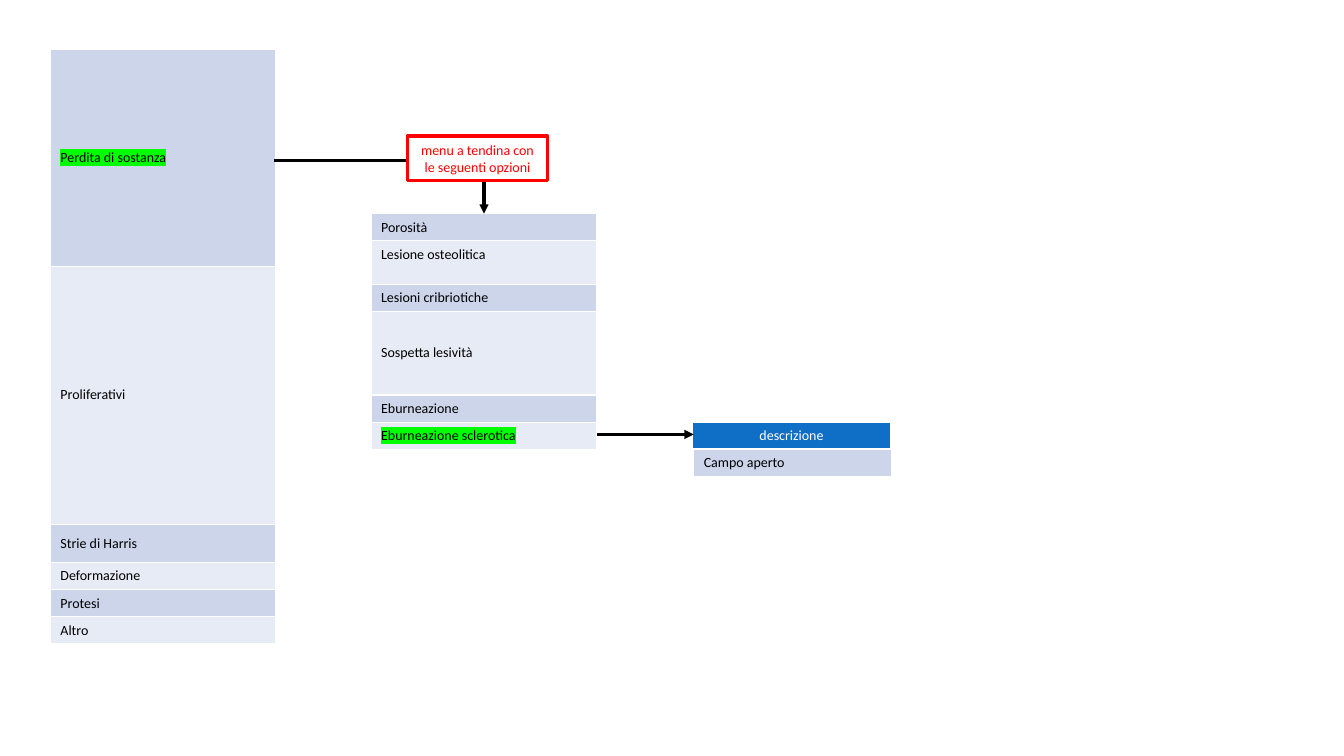
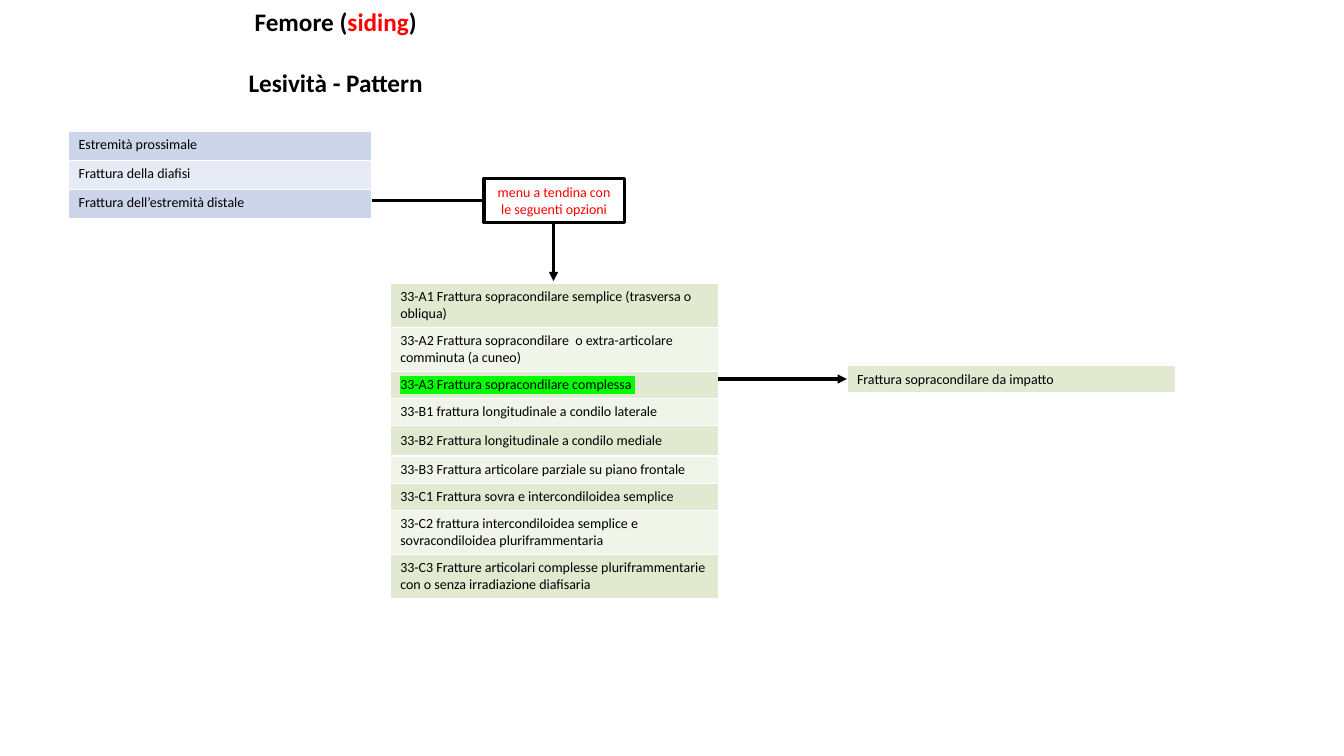
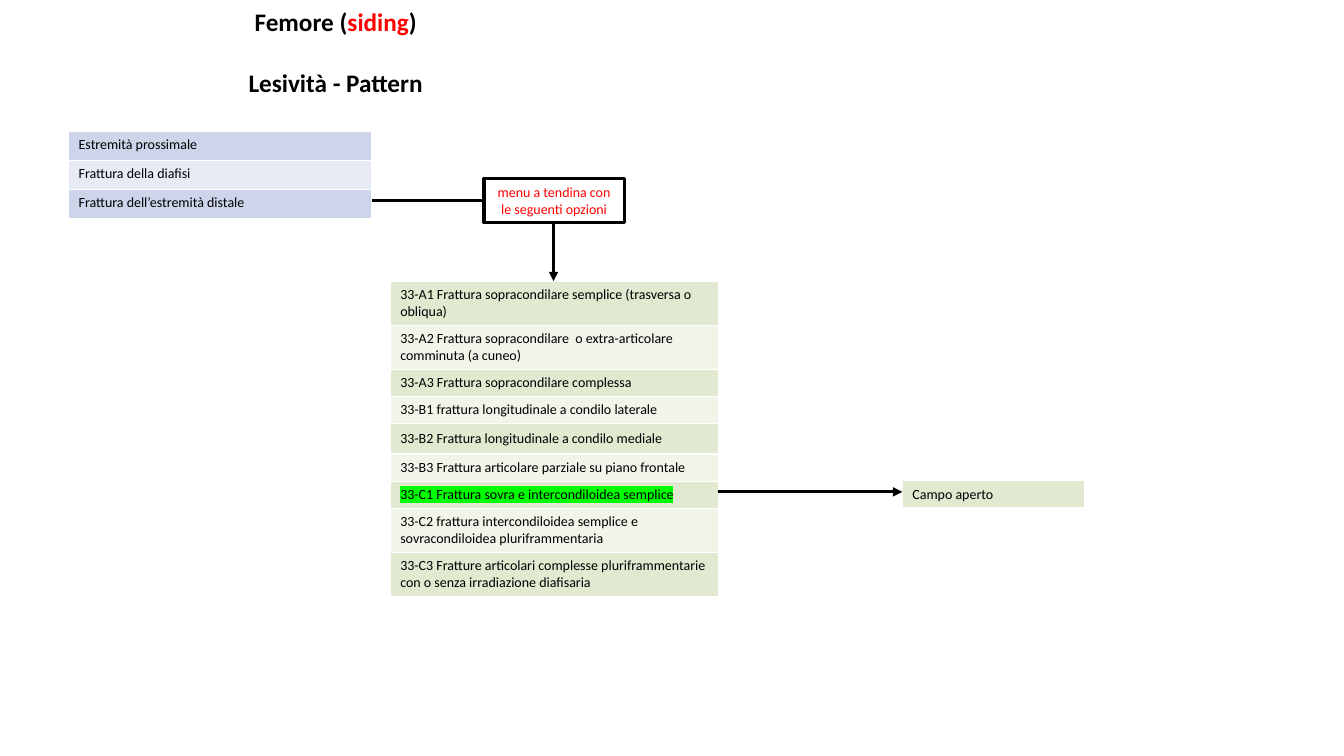
from lxml.etree import SubElement
from pptx import Presentation
from pptx.dml.color import RGBColor
from pptx.enum.shapes import MSO_CONNECTOR, MSO_SHAPE
from pptx.enum.text import MSO_ANCHOR, MSO_AUTO_SIZE, PP_ALIGN
from pptx.oxml.ns import qn
from pptx.util import Pt

PX = 9144  # EMU per px, 100 px to the inch
LINE_WIDTH = Pt(2.25)
ROW = 27
TWO_LINE_ROW = 43
TITLE_ONLY, BLANK = 5, 6

COLORS = {
    "black": "000000",
    "white": "FFFFFF",
    "red": "FF0000",
    "highlight": "00FF00",
    "header": "0F6FC6",
    "blue": "CCD5EA",
    "pale_blue": "E7EBF5",
    "green": "E1E9D0",
    "pale_green": "F0F4E9",
}
BLUES = ("blue", "pale_blue")
GREENS = ("green", "pale_green")
BODY_FONT = {"name": "Calibri", "size": Pt(10), "bold": False}
TITLE_FONT = {"name": "Calibri", "size": Pt(18), "bold": True}

MENU_TEXT = "menu a tendina con le seguenti opzioni"
CATEGORIES = (
    ("Perdita di sostanza", 215),
    ("Proliferativi", 256),
    ("Strie di Harris", 38),
    ("Deformazione", ROW),
    ("Protesi", ROW),
    ("Altro", ROW),
)
LOSSES = (
    ("Porosità", ROW),
    ("Lesione osteolitica", TWO_LINE_ROW),
    ("Lesioni cribriotiche", ROW),
    ("Sospetta lesività", 83),
    ("Eburneazione", ROW),
    ("Eburneazione sclerotica", ROW),
)
FEMUR_PARTS = (
    ("Estremità prossimale", 29),
    ("Frattura della diafisi", 29),
    ("Frattura dell’estremità distale", 29),
)
FRACTURES = (
    ("33-A1 Frattura sopracondilare semplice (trasversa o obliqua)", TWO_LINE_ROW),
    ("33-A2 Frattura sopracondilare  o extra-articolare comminuta (a cuneo)", TWO_LINE_ROW),
    ("33-A3 Frattura sopracondilare complessa ", ROW),
    ("33-B1 frattura longitudinale a condilo laterale", ROW),
    ("33-B2 Frattura longitudinale a condilo mediale", 30),
    ("33-B3 Frattura articolare parziale su piano frontale", ROW),
    ("33-C1 Frattura sovra e intercondiloidea semplice", ROW),
    ("33-C2 frattura intercondiloidea semplice e sovracondiloidea pluriframmentaria", TWO_LINE_ROW),
    ("33-C3 Fratture articolari complesse pluriframmentarie con o senza irradiazione diafisaria", TWO_LINE_ROW),
)


def rgb(color):
    return RGBColor.from_string(COLORS[color])


def px(*lengths):
    return [length * PX for length in lengths]


def set_values(target, values):
    for name, value in values.items():
        setattr(target, name, value)


def paint(target, color):
    target.fill.solid()
    target.fill.fore_color.rgb = rgb(color)


def add_run(paragraph, text, font, color, highlighted=False):
    run = paragraph.add_run()
    run.text = text
    set_values(run.font, font)
    run.font.color.rgb = rgb(color)
    if highlighted:
        properties = run.font._element
        highlight = SubElement(properties, qn("a:highlight"))
        SubElement(highlight, qn("a:srgbClr"), val=COLORS["highlight"])
        properties.find(qn("a:latin")).addprevious(highlight)


def set_borders(cell, bottom):
    """Draw white cell borders ahead of the cell fill; bottom is in points."""
    properties = cell._tc.get_or_add_tcPr()
    for side, width in (("L", 1), ("R", 1), ("T", 1), ("B", bottom)):
        border = SubElement(properties, qn(f"a:ln{side}"), w=str(Pt(width)))
        fill = SubElement(border, qn("a:solidFill"))
        SubElement(fill, qn("a:srgbClr"), val=COLORS["white"])


def add_list(slide, left, top, width, rows, shades, chosen=None,
             color="black", align=PP_ALIGN.LEFT, bottom=1, top_rows=()):
    """Stack (text, height) rows in alternating shades, highlighting the chosen one."""
    height = sum(row_height for _, row_height in rows)
    table = slide.shapes.add_table(len(rows), 1, *px(left, top, width, height)).table
    set_values(table, {"first_row": False, "horz_banding": False})
    for index, (text, row_height) in enumerate(rows):
        table.rows[index].height = row_height * PX
        cell = table.cell(index, 0)
        cell.vertical_anchor = MSO_ANCHOR.TOP if index in top_rows else MSO_ANCHOR.MIDDLE
        set_borders(cell, bottom)
        paint(cell, shades[index % len(shades)])
        paragraph = cell.text_frame.paragraphs[0]
        paragraph.alignment = align
        add_run(paragraph, text, BODY_FONT, color, index == chosen)


def add_arrow(slide, start, end):
    """Draw a straight arrow, or one bent once when the ends differ in height."""
    bent = start[1] != end[1]
    kind = MSO_CONNECTOR.ELBOW if bent else MSO_CONNECTOR.STRAIGHT
    connector = slide.shapes.add_connector(kind, *px(*start, *end))
    connector.line.color.rgb = rgb("black")
    connector.line.width = LINE_WIDTH
    properties = connector._element.spPr
    if bent:
        properties.find(qn("a:prstGeom")).set("prst", "bentConnector2")
    SubElement(properties.find(qn("a:ln")), qn("a:tailEnd"), type="triangle")
    SubElement(properties, qn("a:effectLst"))


def add_menu(slide, left, top, border):
    menu = slide.shapes.add_shape(MSO_SHAPE.RECTANGLE, *px(left, top, 139, 44))
    menu.shadow.inherit = False
    paint(menu, "white")
    menu.line.color.rgb = rgb(border)
    menu.line.width = LINE_WIDTH
    menu.text_frame.word_wrap = True
    paragraph = menu.text_frame.paragraphs[0]
    paragraph.alignment = PP_ALIGN.CENTER
    add_run(paragraph, MENU_TEXT, BODY_FONT, "red")


def add_title(slide, left, top, width, height):
    title = slide.shapes.title
    set_values(title, dict(zip(("left", "top", "width", "height"),
                               px(left, top, width, height))))
    frame = title.text_frame
    set_values(frame, {"word_wrap": True, "auto_size": MSO_AUTO_SIZE.NONE,
                       "vertical_anchor": MSO_ANCHOR.TOP})
    lines = (
        (("Femore (", "black"), ("siding", "red"), (")", "black")),
        (("Lesività - Pattern", "black"),),
    )
    for index, runs in enumerate(lines):
        paragraph = frame.add_paragraph() if index else frame.paragraphs[0]
        set_values(paragraph, {"alignment": PP_ALIGN.CENTER, "line_spacing": 1.0,
                               "space_before": Pt(22 * index)})
        for text, color in runs:
            add_run(paragraph, text, TITLE_FONT, color)


def add_description(slide, left, top, width):
    add_list(slide, left, top, width, [("descrizione", ROW)], ("header",),
             color="white", align=PP_ALIGN.CENTER, bottom=3)
    add_list(slide, left + 1, top + ROW, width, [("Campo aperto", ROW)], BLUES)


def build_loss_slide(presentation):
    slide = presentation.slides.add_slide(presentation.slide_layouts[BLANK])
    add_list(slide, 50, 49, 223, CATEGORIES, BLUES, chosen=0)
    add_list(slide, 368, 212, 224, LOSSES, BLUES, chosen=5, top_rows=(1,))
    add_arrow(slide, (272, 159), (480, 212))
    add_menu(slide, 404, 135, "red")
    add_description(slide, 687, 419, 196)
    add_arrow(slide, (592, 431), (688, 431))


def build_femur_slide(presentation, list_top, chosen, answer, answer_box, arrow_y):
    slide = presentation.slides.add_slide(presentation.slide_layouts[TITLE_ONLY])
    add_title(slide, 0, 1, 666, 101)
    add_list(slide, 68, 130, 301, FEMUR_PARTS, BLUES, top_rows=range(3))
    add_arrow(slide, (369, 199), (549, 279))
    add_menu(slide, 480, 177, "black")
    add_list(slide, 387, list_top, 326, FRACTURES, GREENS, chosen)
    left, top, width = answer_box
    add_list(slide, left, top, width, [(answer, ROW)], GREENS)
    add_arrow(slide, (712, arrow_y), (left, arrow_y))


def main():
    presentation = Presentation()
    presentation.slide_width, presentation.slide_height = px(1333, 750)
    build_loss_slide(presentation)
    build_femur_slide(presentation, 281, 2, "Frattura sopracondilare da impatto",
                      (840, 363, 326), 376)
    build_femur_slide(presentation, 279, 6, "Campo aperto", (895, 477, 181), 488)
    presentation.save("out.pptx")


if __name__ == "__main__":
    main()
